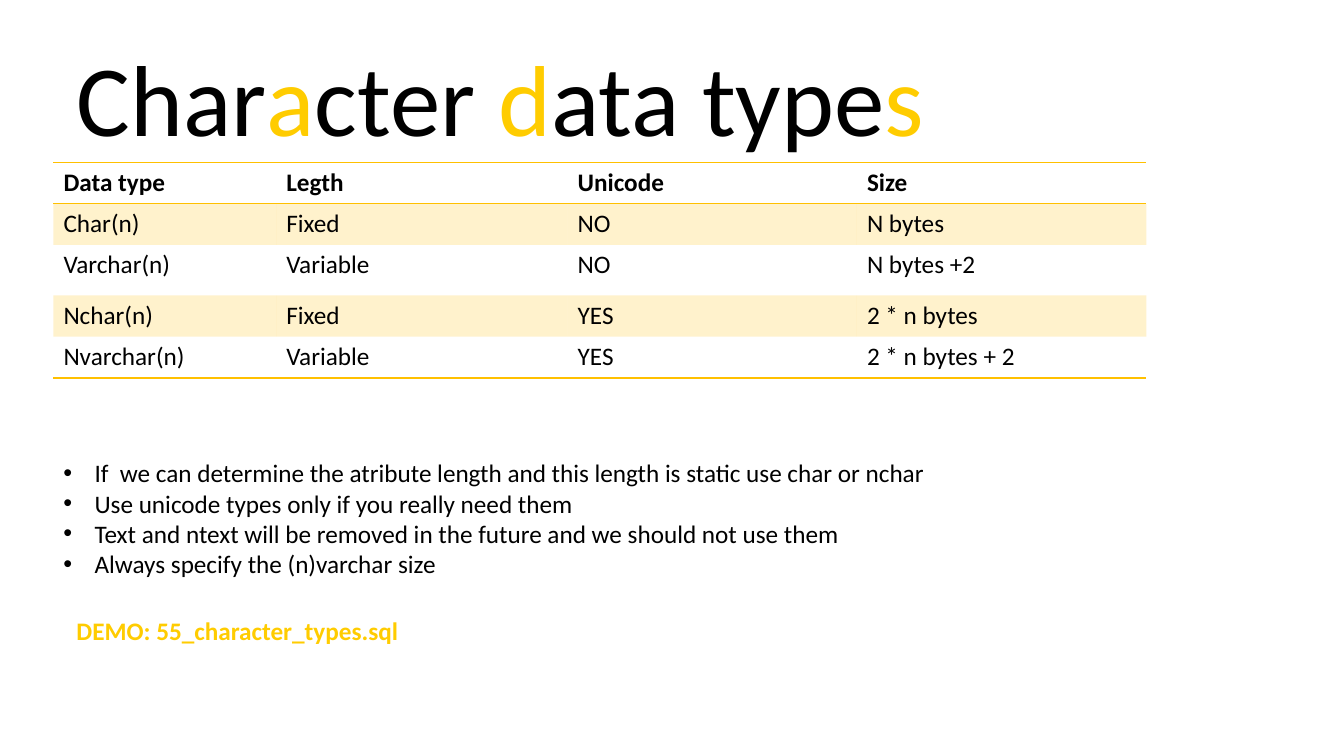
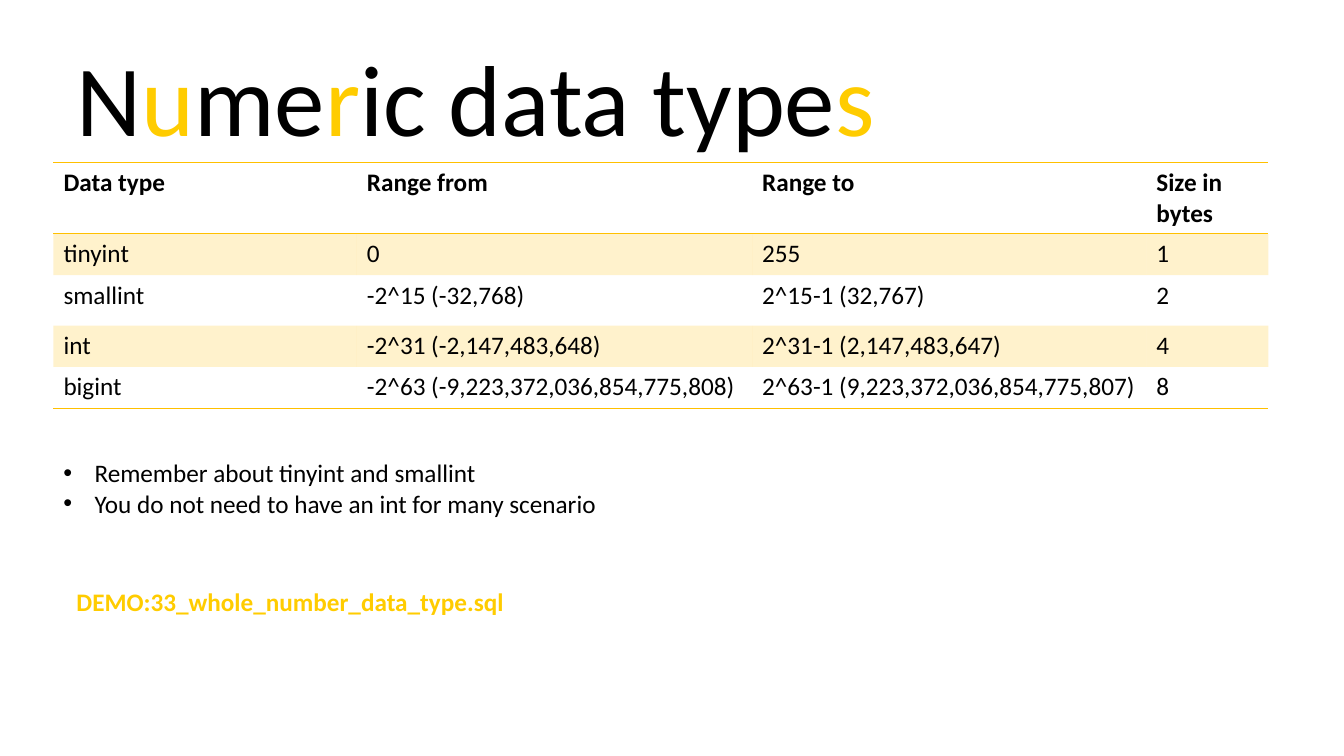
from dataclasses import dataclass

from lxml.etree import SubElement
from pptx import Presentation
from pptx.dml.color import RGBColor
from pptx.enum.text import MSO_AUTO_SIZE
from pptx.oxml.ns import qn
from pptx.util import Pt

PX = 9144  # EMU in one px, 100 px to the inch


@dataclass(frozen=True)
class Theme:
    font: str = "Calibri"
    ink: str = "000000"
    accent: str = "FFCC00"
    table_accent: str = "FFC000"
    band_alpha: int = 20
    rule_points: int = 1
    title_size: int = 72
    body_size: int = 18
    bullet_indent: int = 31


THEME = Theme()
PAGE = (0, 0, 1333, 750)
NO_TABLE_STYLE = "{2D5ABB26-0587-4C30-8999-92F81FD0307C}"


def px(*lengths):
    return [length * PX for length in lengths]


def inside(box, left, top, width, height):
    """Turn a place within a box into a place on the page."""
    return box[0] + left, box[1] + top, width, height


def write(para, text, *, size=THEME.body_size, color=THEME.ink, bold=False):
    """Write text; the parts between | signs take the accent colour."""
    for index, part in enumerate(text.split("|")):
        span = para.add_run()
        span.text = part
        span.font.name = THEME.font
        span.font.size = Pt(size)
        span.font.bold = bold
        span.font.color.rgb = RGBColor.from_string(THEME.accent if index % 2 else color)


def add_bullet(para):
    properties = para._p.get_or_add_pPr()
    indent = THEME.bullet_indent * PX
    properties.set("marL", str(indent))
    properties.set("indent", str(-indent))
    SubElement(properties, qn("a:buFont"), typeface="Arial")
    SubElement(properties, qn("a:buChar"), char="•")


def add_text(page, box, lines, *, bullets=False, wrap=True, **style):
    frame = page.shapes.add_textbox(*px(*box)).text_frame
    frame.word_wrap = wrap
    frame.auto_size = MSO_AUTO_SIZE.SHAPE_TO_FIT_TEXT
    for index, line in enumerate(lines):
        para = frame.add_paragraph() if index else frame.paragraphs[0]
        if bullets:
            add_bullet(para)
        write(para, line, **style)


def add_rules(cell, sides):
    """Draw the named sides of a cell and clear the others."""
    properties = cell._tc.get_or_add_tcPr()
    for side in "LRTB":
        line = SubElement(properties, qn(f"a:ln{side}"))
        if side in sides:
            line.set("w", str(Pt(THEME.rule_points)))
            paint = SubElement(line, qn("a:solidFill"))
            SubElement(paint, qn("a:srgbClr"), val=THEME.table_accent)
        else:
            SubElement(line, qn("a:noFill"))


def fill_band(cell, banded):
    if not banded:
        cell.fill.background()
        return
    cell.fill.solid()
    cell.fill.fore_color.rgb = RGBColor.from_string(THEME.table_accent)
    for color in cell._tc.tcPr.findall(f"{qn('a:solidFill')}/{qn('a:srgbClr')}"):
        SubElement(color, qn("a:alpha"), val=str(THEME.band_alpha * 1000))


def add_type_table(page, box, rows, widths, heights):
    graphic = page.shapes.add_table(len(rows), len(widths), *px(*box))
    for style in graphic.element.iter(qn("a:tableStyleId")):
        style.text = NO_TABLE_STYLE
    table = graphic.table
    for column, width in zip(table.columns, widths):
        column.width = width * PX
    for row, height in zip(table.rows, heights):
        row.height = height * PX
    sides = {0: "TB", len(rows) - 1: "B"}
    for row_index, values in enumerate(rows):
        for column_index, value in enumerate(values):
            cell = table.cell(row_index, column_index)
            write(cell.text_frame.paragraphs[0], value, bold=row_index == 0)
            add_rules(cell, sides.get(row_index, ""))
            fill_band(cell, row_index % 2 == 1)


def add_data_type_slide(deck, box, *, title, rows, widths, header_height,
                        notes, notes_size, demo, demo_top, demo_width):
    page = deck.slides.add_slide(deck.slide_layouts[6])
    # Title
    add_text(page, inside(box, 66, 30, 1045, 131), [title], size=THEME.title_size)
    # Table
    heights = [header_height, 41, 50, 41, 41]
    add_type_table(page, inside(box, 53, 161, sum(widths), sum(heights)),
                   rows, widths, heights)
    # Advice
    add_text(page, inside(box, 53, 449, *notes_size), notes, bullets=True, wrap=False)
    # Demo file
    add_text(page, inside(box, 66, demo_top, demo_width, 40), [demo],
             color=THEME.accent, bold=True)


SLIDES = [
    dict(
        title="Char|a|cter |d|ata type|s|",
        rows=[
            ("Data type", "Legth", "Unicode", "Size"),
            ("Char(n)", "Fixed", "NO", "N bytes"),
            ("Varchar(n)", "Variable", "NO", "N bytes +2"),
            ("Nchar(n)", "Fixed", "YES", "2 * n bytes"),
            ("Nvarchar(n)", "Variable", "YES", "2 * n bytes + 2"),
        ],
        widths=[221, 289, 287, 287],
        header_height=41,
        notes=[
            "If  we can determine the atribute length and this length is static use char or nchar",
            "Use unicode types only if you really need them",
            "Text and ntext will be removed in the future and we should not use them",
            "Always specify the (n)varchar size",
        ],
        notes_size=(906, 131),
        demo="DEMO: 55_character_types.sql",
        demo_top=606,
        demo_width=342,
    ),
    dict(
        title="N|u|me|r|ic data type|s|",
        rows=[
            ("Data type", "Range from", "Range to", "Size in bytes"),
            ("tinyint", "0", "255", "1"),
            ("smallint", "-2^15 (-32,768)", "2^15-1 (32,767)", "2"),
            ("int", "-2^31 (-2,147,483,648)", "2^31-1 (2,147,483,647)", "4"),
            ("bigint", "-2^63 (-9,223,372,036,854,775,808)",
             "2^63-1 (9,223,372,036,854,775,807)", "8"),
        ],
        widths=[301, 392, 391, 121],
        header_height=71,
        notes=[
            "Remember about tinyint and smallint",
            "You do not need to have an int for many scenario",
        ],
        notes_size=(555, 71),
        demo="DEMO:33_whole_number_data_type.sql",
        demo_top=577,
        demo_width=593,
    ),
]


def main():
    deck = Presentation()
    deck.slide_width, deck.slide_height = px(*PAGE[2:])
    for content in SLIDES:
        add_data_type_slide(deck, PAGE, **content)
    deck.save("out.pptx")


if __name__ == "__main__":
    main()
